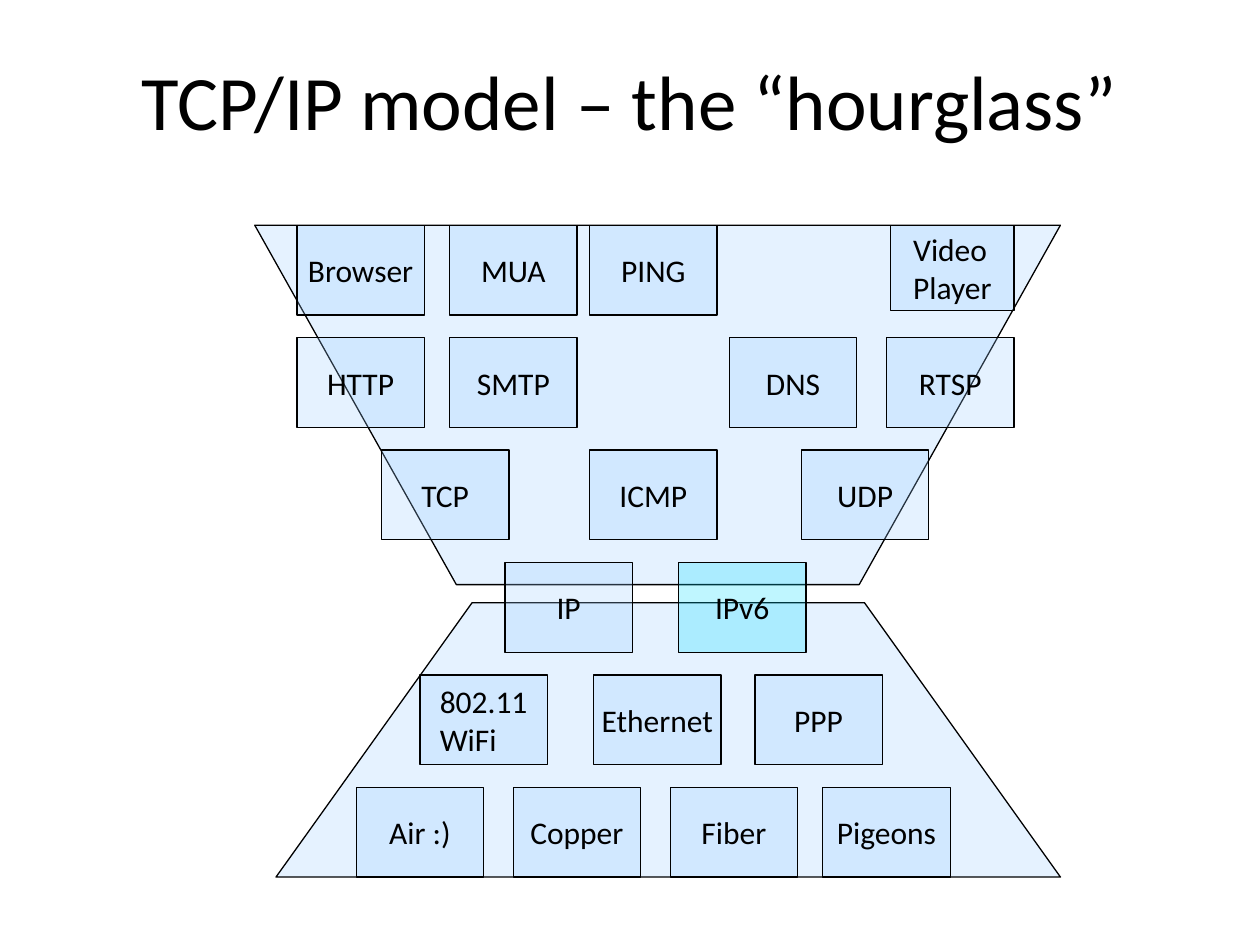
from lxml import etree
from pptx import Presentation
from pptx.dml.color import RGBColor
from pptx.enum.shapes import MSO_SHAPE
from pptx.enum.text import MSO_ANCHOR, PP_ALIGN
from pptx.oxml.ns import qn
from pptx.util import Pt

COLORS = {"layer": "99CCFF", "ipv6": "00DCFF", "ink": "000000"}
FORMATS = {
    "title": {"name": "Calibri", "size": Pt(44)},
    "box": {"name": "Calibri", "size": Pt(18)},
}
MARGINS = ("margin_left", "margin_top", "margin_right", "margin_bottom")
BOX_WIDTH, BOX_HEIGHT = 72.8, 51.3
TOP, ROW_PITCH = 128.7, 64.25


def paint(shape, color):
    shape.shadow.inherit = False
    shape.fill.solid()
    shape.fill.fore_color.rgb = RGBColor.from_string(COLORS[color])
    for color_node in shape.fill._xPr.iter(qn("a:srgbClr")):
        etree.SubElement(color_node, qn("a:alpha"), val="25000")
    shape.line.color.rgb = RGBColor.from_string(COLORS["ink"])
    shape.line.width = Pt(0.75)


def format_text(text_frame, style, alignment):
    for paragraph in text_frame.paragraphs:
        paragraph.alignment = alignment
        for key, value in FORMATS[style].items():
            setattr(paragraph.font, key, value)
        paragraph.font.color.rgb = RGBColor.from_string(COLORS["ink"])


presentation = Presentation()
presentation.slide_width, presentation.slide_height = Pt(720), Pt(540)
slide = presentation.slides.add_slide(presentation.slide_layouts[5])

title = slide.shapes.title
title.left, title.top, title.width, title.height = Pt(73.4), Pt(16), Pt(573), Pt(81.4)
title.text_frame.text = "TCP/IP model – the “hourglass”"
title.text_frame.vertical_anchor = MSO_ANCHOR.MIDDLE
format_text(title.text_frame, "title", PP_ALIGN.CENTER)

hourglass_halves = [
    [(157.7, 501.2), (269.8, 344.4), (494, 344.4), (606, 501.2)],
    [(145.6, 128.7), (260.8, 334.1), (491, 334.1), (606, 128.7)],
]
for corners in hourglass_halves:
    start, *others = [(Pt(x), Pt(y)) for x, y in corners]
    builder = slide.shapes.build_freeform(*start)
    builder.add_line_segments(others, close=True)
    paint(builder.convert_to_shape(), "layer")

layers = [
    [("Browser", 169.7), ("MUA", 257), ("PING", 337), ("Video\nPlayer", 509)],
    [("HTTP", 169.7), ("SMTP", 257), ("DNS", 416.8), ("RTSP", 506.7)],
    [("TCP", 218), ("ICMP", 337), ("UDP", 458)],
    [("IP", 288.6), ("IPv6", 387.8)],
    [("802.11\nWiFi", 240), ("Ethernet", 339.3), ("PPP", 431.4)],
    [("Air :)", 203.6), ("Copper", 293.3), ("Fiber", 383), ("Pigeons", 470.2)],
]
small_boxes = {"Video\nPlayer": (70.5, 48.7)}
for row, layer in enumerate(layers):
    for label, left in layer:
        width, height = small_boxes.get(label, (BOX_WIDTH, BOX_HEIGHT))
        box = slide.shapes.add_shape(
            MSO_SHAPE.ROUNDED_RECTANGLE,
            Pt(left), Pt(TOP + row * ROW_PITCH), Pt(width), Pt(height),
        )
        box.adjustments[0] = 0
        paint(box, "ipv6" if label == "IPv6" else "layer")
        text_frame = box.text_frame
        text_frame.text = label
        text_frame.word_wrap = False
        text_frame.vertical_anchor = MSO_ANCHOR.MIDDLE
        text_frame._txBody.bodyPr.set("anchorCtr", "1")
        for margin in MARGINS:
            setattr(text_frame, margin, Pt(0))
        format_text(text_frame, "box", PP_ALIGN.LEFT)

presentation.save("out.pptx")
